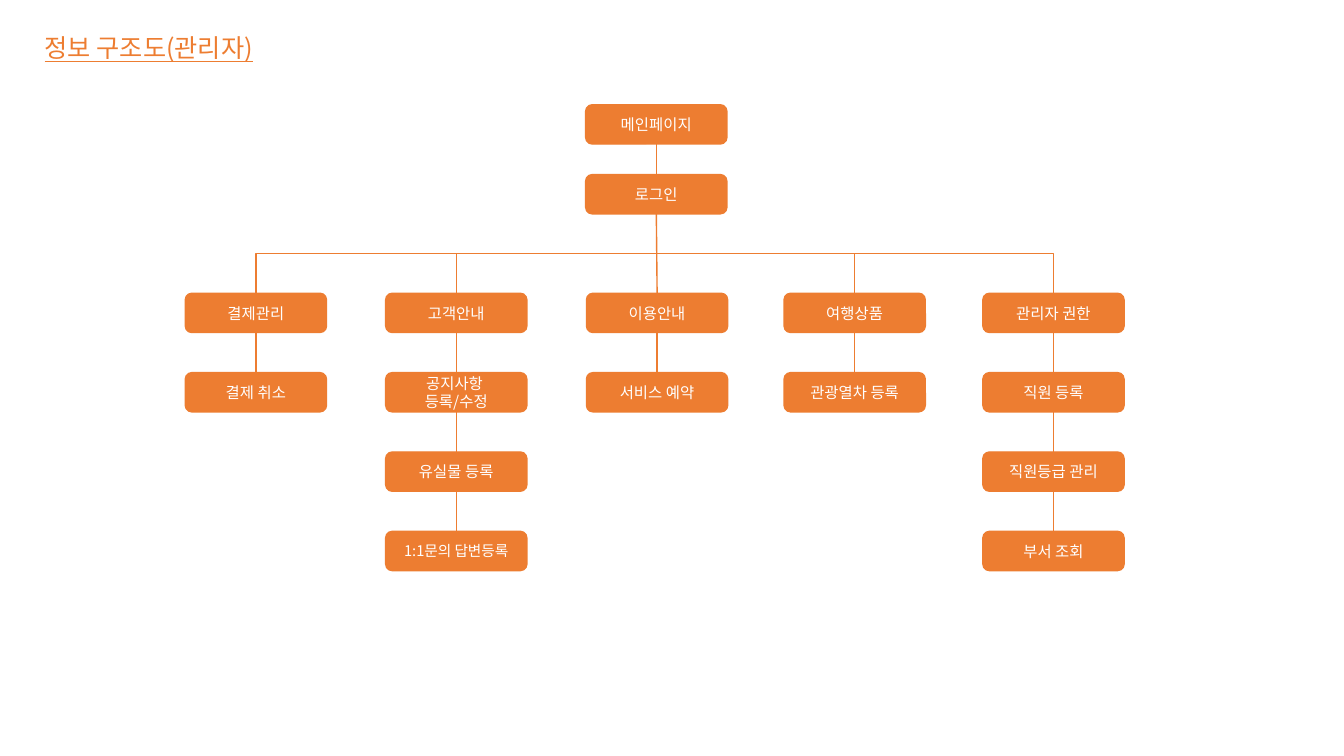
from dataclasses import dataclass
from typing import Any

import lxml.etree
import pptx
import pptx.dml.color
import pptx.enum.shapes
import pptx.enum.text
import pptx.oxml.ns
import pptx.util

Cm = pptx.util.Cm
Pt = pptx.util.Pt
qn = pptx.oxml.ns.qn

ORANGE = "ED7D31"
WHITE = "FFFFFF"
FONT = "Noto Sans CJK KR"
BOX_WIDTH, BOX_HEIGHT = Cm(3.56), Cm(0.99)
MENU_TOP, ROW_PITCH = Cm(7.39), Cm(2)
ROOT_LEFT = Cm(14.76)


@dataclass
class Node:
    text: str
    size: float = 11


@dataclass
class Menu:
    left: float
    nodes: list[Node]


MENUS = [
    Menu(4.67, [Node("결제관리"), Node("결제 취소")]),
    Menu(9.72, [Node("고객안내"), Node("공지사항 \n등록/수정"),
                Node("유실물 등록"), Node("1:1문의 답변등록", 10.5)]),
    Menu(14.78, [Node("이용안내"), Node("서비스 예약")]),
    Menu(19.76, [Node("여행상품"), Node("관광열차 등록")]),
    Menu(24.77, [Node("관리자 권한"), Node("직원 등록"),
                 Node("직원등급 관리"), Node("부서 조회")]),
]


def assign(target: Any, values: dict[str, Any]) -> None:
    for name, value in values.items():
        setattr(target, name, value)


def rgb(code: str) -> pptx.dml.color.RGBColor:
    return pptx.dml.color.RGBColor.from_string(code)


def write(shape: Any, text: str, color: str, font: dict[str, Any]) -> None:
    """Fill a shape with centred text, one paragraph per line."""
    frame = shape.text_frame
    assign(frame, {"text": text, "word_wrap": True,
                   "vertical_anchor": pptx.enum.text.MSO_ANCHOR.MIDDLE})
    for para in frame.paragraphs:
        assign(para, {"alignment": pptx.enum.text.PP_ALIGN.CENTER, "line_spacing": 1.0})
        for span in para.runs:
            assign(span.font, {"name": FONT, **font})
            span.font.color.rgb = rgb(color)
            east_asian = lxml.etree.Element(qn("a:ea"), typeface=FONT)
            span.font._element.find(qn("a:latin")).addnext(east_asian)


def add_title(page: Any) -> None:
    title = page.shapes.title
    assign(title, {"left": Cm(0.64), "top": Cm(0.69), "width": Cm(6.22), "height": Cm(1.02)})
    write(title, "정보 구조도(관리자)", ORANGE, {"size": Pt(18), "underline": True})
    title.text_frame.auto_size = pptx.enum.text.MSO_AUTO_SIZE.SHAPE_TO_FIT_TEXT
    properties = title.text_frame.paragraphs[0].runs[0].font._element
    outline = lxml.etree.Element(qn("a:ln"), w=str(Pt(0.75)))
    fill = lxml.etree.SubElement(outline, qn("a:solidFill"))
    lxml.etree.SubElement(fill, qn("a:srgbClr"), val=ORANGE)
    properties.insert(0, outline)


def add_box(page: Any, node: Node, left: int, top: int) -> Any:
    box = page.shapes.add_shape(pptx.enum.shapes.MSO_SHAPE.ROUNDED_RECTANGLE,
                                left, top, BOX_WIDTH, BOX_HEIGHT)
    box.shadow.inherit = False
    box.fill.solid()
    box.fill.fore_color.rgb = rgb(ORANGE)
    box.line.color.rgb = rgb(ORANGE)
    box.line.width = Pt(1)
    write(box, node.text, WHITE, {"size": Pt(node.size)})
    return box


def add_line(page: Any, kind: Any, ends: tuple[int, int, int, int]) -> Any:
    line = page.shapes.add_connector(kind, *ends)
    line.line.color.rgb = rgb(ORANGE)
    line.line.width = Pt(1)
    lxml.etree.SubElement(line._element.spPr, qn("a:effectLst"))
    return line


def join(page: Any, upper: Any, lower: Any) -> None:
    """Draw a straight line from the bottom of one box to the top of the next."""
    line = add_line(page, pptx.enum.shapes.MSO_CONNECTOR.STRAIGHT, (0, 0, 0, 0))
    line.begin_connect(upper, 2)
    line.end_connect(lower, 0)


def branch(page: Any, upper: Any, lower: Any) -> None:
    """Draw an elbow that leaves downwards: a level elbow turned a quarter."""
    start_x, end_x = (box.left + BOX_WIDTH // 2 for box in (upper, lower))
    start_y, end_y = upper.top + BOX_HEIGHT, lower.top
    middle_x, middle_y = (start_x + end_x) // 2, (start_y + end_y) // 2
    half_drop, half_span = (end_y - start_y) // 2, abs(end_x - start_x) // 2
    side = 1 if end_x > start_x else -1
    line = add_line(page, pptx.enum.shapes.MSO_CONNECTOR.ELBOW,
                    (middle_x + side * half_drop, middle_y - half_span,
                     middle_x - side * half_drop, middle_y + half_span))
    line.rotation = 270 if side > 0 else 90


def main() -> None:
    deck = pptx.Presentation()
    assign(deck, {"slide_width": Cm(33.87), "slide_height": Cm(19.05)})
    page = deck.slides.add_slide(deck.slide_layouts.get_by_name("Title Only"))
    add_title(page)

    home = add_box(page, Node("메인페이지"), ROOT_LEFT, Cm(2.64))
    login = add_box(page, Node("로그인"), ROOT_LEFT, Cm(4.4))
    join(page, home, login)

    for index, menu in enumerate(MENUS):
        boxes = [add_box(page, node, Cm(menu.left), MENU_TOP + row * ROW_PITCH)
                 for row, node in enumerate(menu.nodes)]
        link = join if index == len(MENUS) // 2 else branch
        link(page, login, boxes[0])
        for upper, lower in zip(boxes, boxes[1:]):
            join(page, upper, lower)

    deck.save("out.pptx")


if __name__ == "__main__":
    main()
